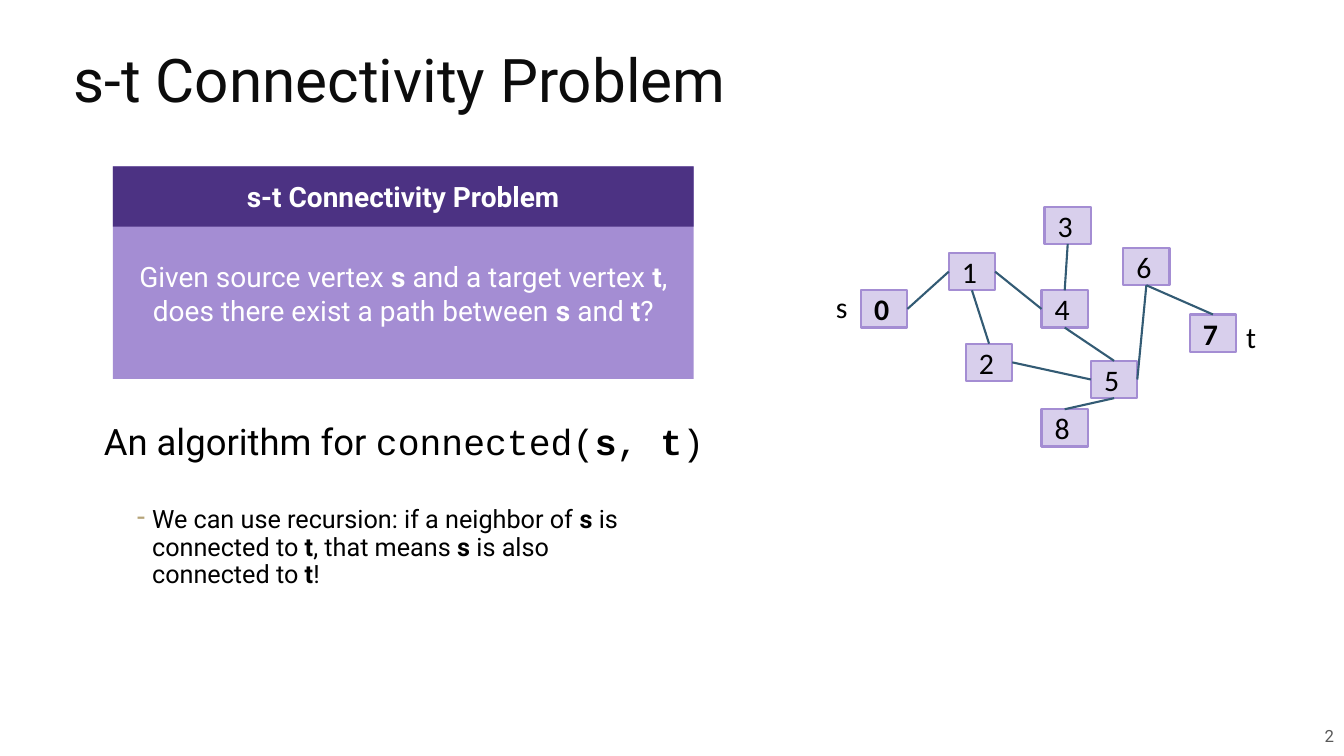
from lxml.etree import SubElement
from pptx import Presentation
from pptx.dml.color import RGBColor
from pptx.enum.shapes import MSO_CONNECTOR as CONN, MSO_SHAPE as SHAPE
from pptx.enum.text import MSO_ANCHOR as ANCHOR, PP_ALIGN as ALIGN
from pptx.oxml.ns import qn
from pptx.util import Pt

PX = 9144
LILAC, PURPLE, TEAL, WHITE, BLACK = "A48DD3", "4C3283", "335B74", "FFFFFF", "000000"
TOP, LEFT, BOTTOM, RIGHT = range(4)
NODE_W, NODE_H = 46, 37
NODES = {"0": (38, 83), "1": (125, 46), "2": (142, 136), "3": (220, 0), "4": (217, 83),
         "5": (266, 153), "6": (298, 41), "7": (364, 107), "8": (217, 201)}
EDGES = [("0", RIGHT, "1", LEFT), ("1", BOTTOM, "2", TOP), ("1", RIGHT, "4", LEFT),
         ("3", BOTTOM, "4", TOP), ("6", BOTTOM, "7", TOP), ("6", BOTTOM, "5", RIGHT),
         ("4", BOTTOM, "5", TOP), ("2", RIGHT, "5", LEFT), ("5", BOTTOM, "8", TOP)]


def px(*lengths):
    """Turn pixel lengths into EMU."""
    return [n * PX for n in lengths]


def color(value):
    """Turn a hex string into a colour."""
    return RGBColor.from_string(value)


def add_runs(p, text, size, font="Roboto", fill=BLACK):
    """Append text to a paragraph, with parts between asterisks in bold."""
    for i, part in enumerate(text.split("*")):
        if part:
            r = p.add_run()
            r.text = part
            r.font.size, r.font.name, r.font.bold = Pt(size), font, i % 2 == 1
            r.font.color.rgb = color(fill)


def write(sp, text, size, font="Roboto", fill=BLACK, align=ALIGN.LEFT,
          anchor=ANCHOR.TOP, inset=(10, 5), spacing=1.0):
    """Set the text of a shape and return its paragraph."""
    tf = sp.text_frame
    tf.word_wrap, tf.vertical_anchor = True, anchor
    tf.margin_left = tf.margin_right = inset[0] * PX
    tf.margin_top = tf.margin_bottom = inset[1] * PX
    p = tf.paragraphs[0]
    p.alignment, p.line_spacing = align, spacing
    add_runs(p, text, size, font, fill)
    return p


def add_text(s, box, text, size, **fmt):
    """Add a text box and return its paragraph."""
    return write(s.shapes.add_textbox(*px(*box)), text, size, **fmt)


def add_rect(s, box, fill, line=None, alpha=None):
    """Add a flat rectangle."""
    sp = s.shapes.add_shape(SHAPE.RECTANGLE, *px(*box))
    sp.shadow.inherit = False
    sp.fill.solid()
    sp.fill.fore_color.rgb = color(fill)
    if alpha:
        rgb = sp.fill._xPr.find(qn("a:solidFill"))[0]
        SubElement(rgb, qn("a:alpha"), val=str(alpha * 1000))
    if line:
        sp.line.color.rgb, sp.line.width = color(line), Pt(1.5)
    else:
        sp.line.fill.background()
    return sp


def add_edge(s, start, start_site, end, end_site):
    """Join two nodes at the given connection sites."""
    line = s.shapes.add_connector(CONN.STRAIGHT, 0, 0, 0, 0)
    line.begin_connect(start, start_site)
    line.end_connect(end, end_site)
    line.line.color.rgb, line.line.width = color(TEAL), Pt(1.5)
    SubElement(line._element.spPr, qn("a:effectLst"))


def problem_card(s, x, y, w, h):
    """Draw the problem statement under its heading bar."""
    add_rect(s, (x, y, w, h), LILAC)
    write(add_rect(s, (x, y, w, 60), PURPLE), "*s-t Connectivity Problem*", 20,
          fill=WHITE, align=ALIGN.CENTER, anchor=ANCHOR.MIDDLE)
    add_text(s, (x, y + 88, w, 77),
             "Given source vertex *s* and a target vertex *t*, "
             "does there exist a path between *s* and *t*?",
             20, fill=WHITE, align=ALIGN.CENTER)


def algorithm(s, x, y, w):
    """Write the algorithm heading and its bullet."""
    p = add_text(s, (x, y, w, 111), "An algorithm for ", 26, inset=(5, 5), spacing=0.9)
    add_runs(p, "connected(*s*, *t*)", 26, font="Courier New")
    p = add_text(s, (x + 14, y + 77, 526, 102),
                 "We can use recursion: if a neighbor of *s* is connected to *t*, "
                 "that means *s* is also connected to *t*!",
                 18, inset=(10, 10), spacing=0.9)
    pPr = p._p.get_or_add_pPr()
    pPr.set("marL", str(29 * PX))
    pPr.set("indent", str(-15 * PX))
    SubElement(SubElement(pPr, qn("a:buClr")), qn("a:srgbClr"), val="B6A479")
    SubElement(pPr, qn("a:buChar"), char="-")


def graph(s, x, y):
    """Draw the graph with its source and target labels."""
    fmt = dict(size=21.3, font="Calibri", inset=(13, 13))
    nodes = {}
    for name, (dx, dy) in NODES.items():
        nodes[name] = add_rect(s, (x + dx, y + dy, NODE_W, NODE_H), LILAC, LILAC, 42)
        label = f"*{name}*" if name in "07" else name
        write(nodes[name], label, anchor=ANCHOR.MIDDLE, **fmt)
    for a, a_site, b, b_site in EDGES:
        add_edge(s, nodes[a], a_site, nodes[b], b_site)
    add_text(s, (x, y + 68, 46, 52), "s", **fmt)
    add_text(s, (x + 407, y + 98, 60, 59), "t", **fmt)


def main():
    """Build the slide and save it."""
    prs = Presentation()
    prs.slide_width, prs.slide_height = px(1333, 750)
    s = prs.slides.add_slide(prs.slide_layouts[6])
    add_text(s, (63, 29, 1223, 111), "s-t Connectivity Problem", 43, fill="0C0C0C",
             anchor=ANCHOR.MIDDLE, spacing=0.8)
    problem_card(s, 112, 165, 576, 211)
    algorithm(s, 98, 416, 612)
    graph(s, 816, 205)
    add_text(s, (865, 710, 468, 40), "2", 12, fill="595959", align=ALIGN.RIGHT,
             anchor=ANCHOR.MIDDLE, inset=(10, 10))
    prs.save("out.pptx")


if __name__ == "__main__":
    main()
